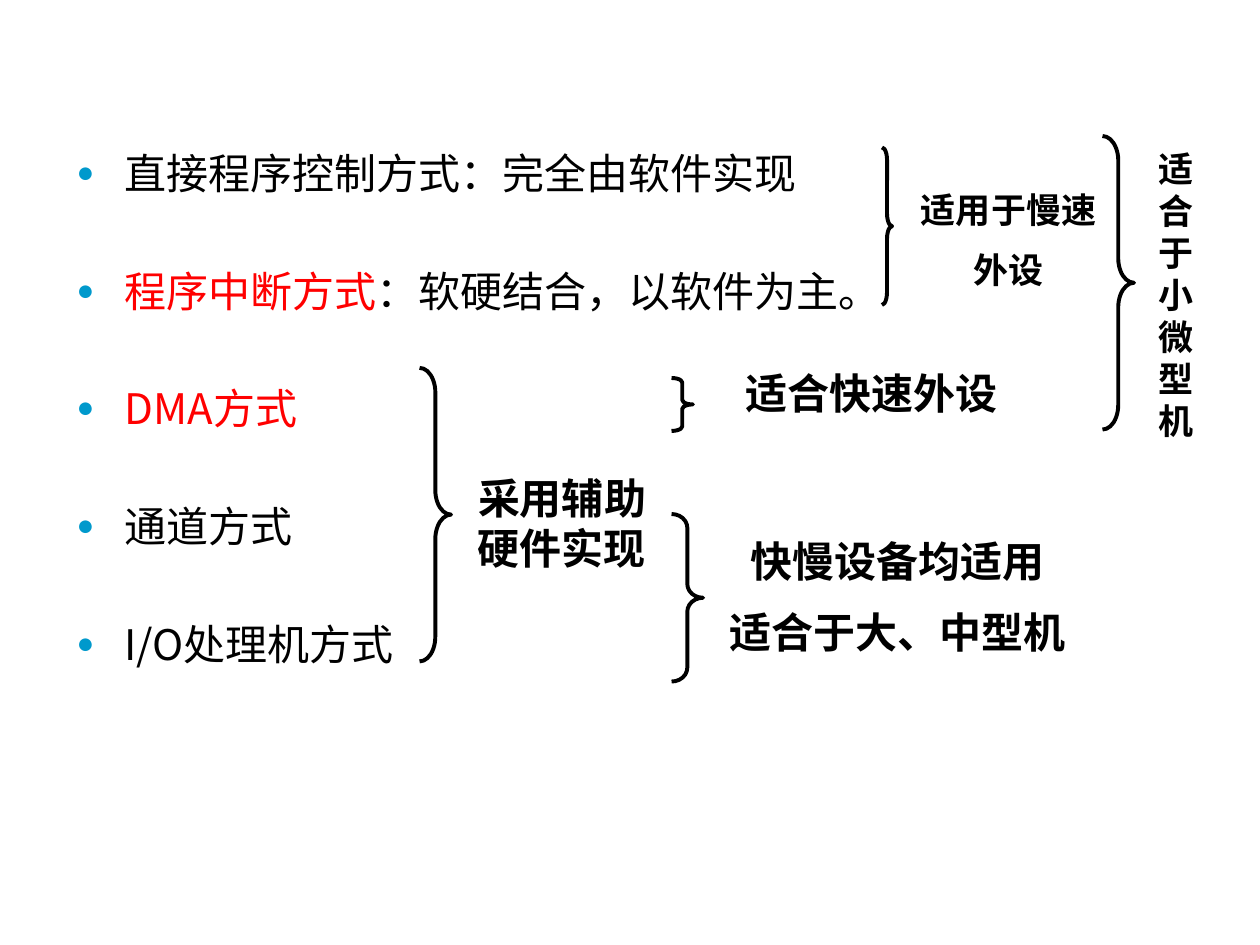
import lxml.etree
import pptx
import pptx.dml.color
import pptx.enum.shapes
import pptx.enum.text
import pptx.oxml.ns
import pptx.util
from pptx.util import Inches

BLACK, RED, BULLET_BLUE = "000000", "FF0000", "0099CC"
BODY_FONT, LABEL_FONT = "Noto Sans CJK SC", "Times New Roman"

CONTROL_MODES = [
    [("直接程序控制方式：完全由软件实现", BLACK)],
    [("程序中断方式", RED), ("：软硬结合，以软件为主。", BLACK)],
    [("DMA方式", RED)],
    [("通道方式", BLACK)],
    [("I/O处理机方式", BLACK)],
]

# Brace box, curve radius as a share of its width, label box, size, lines
BRACED_NOTES = [
    ((7, 1.17, 0.08, 1.25), 1.25, (7.17, 1.5, 1.67, 0.83), 20, ["适用于慢速", "外设"]),
    ((8.75, 1.08, 0.25, 2.33), 0.78, (9.08, 1.17, 0.5, 2.33), 20, ["适合于小微型机"]),
    ((3.33, 2.92, 0.25, 2.33), 0.78, (3.75, 3.75, 1.42, 0.8), 24, ["采用辅助硬件实现"]),
    ((5.33, 3, 0.17, 0.42), 0.21, (5.83, 2.92, 2.17, 0.4), 24, ["适合快速外设"]),
    ((5.33, 4.08, 0.25, 1.33), 0.44, (5.75, 4.25, 2.75, 1), 24,
     ["快慢设备均适用", "适合于大、中型机"]),
]


def color(hex_value):
    return pptx.dml.color.RGBColor.from_string(hex_value)


def add_element(parent, tag, **attributes):
    element = lxml.etree.SubElement(parent, pptx.oxml.ns.qn(tag))
    for name, value in attributes.items():
        element.set(name, value)
    return element


def add_run(paragraph, text, size, hex_value, latin_font, bold=False):
    run = paragraph.add_run()
    run.text = text
    run.font.size = pptx.util.Pt(size)
    run.font.bold = bold
    run.font.color.rgb = color(hex_value)
    run.font.name = latin_font
    add_element(run.font._element, "a:ea", typeface=BODY_FONT)


def add_text_frame(slide, box):
    text_frame = slide.shapes.add_textbox(*map(Inches, box)).text_frame
    text_frame.word_wrap = True
    return text_frame


def next_paragraph(text_frame, index, space_before):
    """Return the paragraph at index; only later ones get space before."""
    if index == 0:
        return text_frame.paragraphs[0]
    paragraph = text_frame.add_paragraph()
    paragraph.space_before = pptx.util.Pt(space_before)
    return paragraph


def add_bullet(paragraph):
    properties = paragraph._p.get_or_add_pPr()
    indent = Inches(0.38)
    properties.set("marL", str(indent))
    properties.set("indent", str(-indent))
    bullet_color = add_element(properties, "a:buClr")
    add_element(bullet_color, "a:srgbClr", val=BULLET_BLUE)
    add_element(properties, "a:buSzPct", val="70000")
    add_element(properties, "a:buFont", typeface=LABEL_FONT)
    add_element(properties, "a:buChar", char="●")


def add_mode_list(slide, box):
    text_frame = add_text_frame(slide, box)
    text_frame.margin_top = Inches(0.65)
    for index, runs in enumerate(CONTROL_MODES):
        paragraph = next_paragraph(text_frame, index, 38.5)
        add_bullet(paragraph)
        for text, hex_value in runs:
            add_run(paragraph, text, 24, hex_value, BODY_FONT)


def add_brace(slide, box, curve):
    brace = slide.shapes.add_shape(
        pptx.enum.shapes.MSO_SHAPE.RIGHT_BRACE, *map(Inches, box))
    brace.adjustments[0] = curve
    brace.adjustments[1] = 0.5
    brace.shadow.inherit = False
    brace.fill.background()
    brace.line.color.rgb = color(BLACK)
    brace.line.width = pptx.util.Pt(2.25)


def add_label(slide, box, size, lines):
    text_frame = add_text_frame(slide, box)
    text_frame.margin_left = text_frame.margin_right = 0
    text_frame.margin_top = text_frame.margin_bottom = 0
    for index, line in enumerate(lines):
        paragraph = next_paragraph(text_frame, index, size / 2)
        paragraph.alignment = pptx.enum.text.PP_ALIGN.CENTER
        paragraph.line_spacing = pptx.util.Pt(size * 1.2)
        add_run(paragraph, line, size, BLACK, LABEL_FONT, bold=True)


def main():
    presentation = pptx.Presentation()
    presentation.slide_width = Inches(10)
    presentation.slide_height = Inches(7.5)
    slide = presentation.slides.add_slide(presentation.slide_layouts[6])
    add_mode_list(slide, (0.51, 0.52, 8.75, 6))
    for brace_box, curve, label_box, size, lines in BRACED_NOTES:
        add_brace(slide, brace_box, curve)
        add_label(slide, label_box, size, lines)
    presentation.save("out.pptx")


if __name__ == "__main__":
    main()
